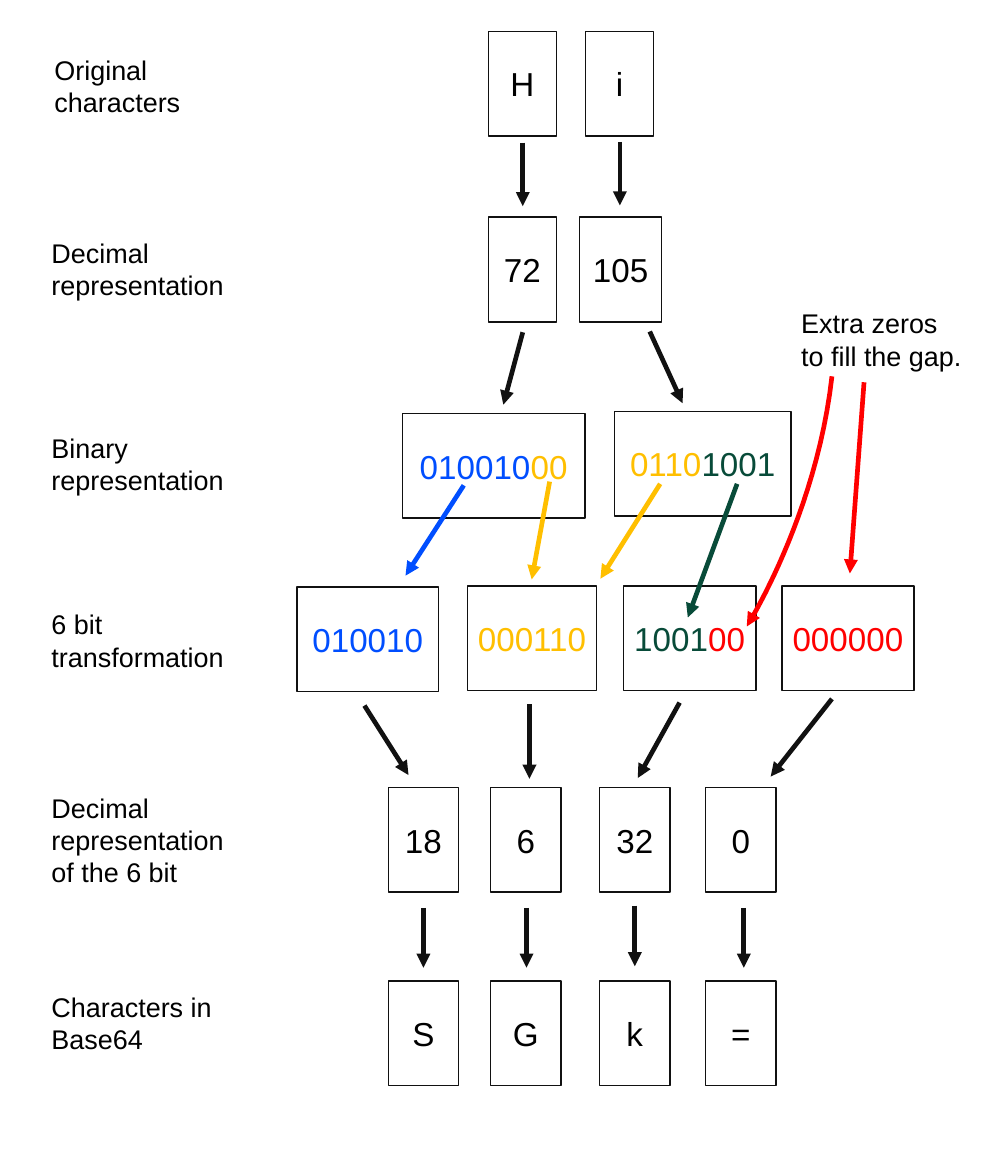
import pptx
import pptx.dml.color
import pptx.enum.shapes
import pptx.enum.text
import pptx.oxml
import pptx.oxml.ns
import pptx.util

SCALE = 9144  # EMU per px, 100 px to the inch
INK, BLACK, WHITE = "111111", "000000", "FFFFFF"
BLUE, YELLOW, GREEN, RED = "004EFF", "FFBF00", "084B39", "FF0000"
CELL_HEIGHT = 140
RESULT_COLUMNS = [520, 657, 803, 945]
RESULT_WIDTH = 94


def px(value):
    return pptx.util.Emu(round(value * SCALE))


def color(hex_text):
    return pptx.dml.color.RGBColor.from_string(hex_text)


def apply(target, values):
    for name, value in values.items():
        setattr(target, name, value)


def write(shape, spans, size, frame_format, align=None):
    """Fill a shape with one paragraph of (text, colour) spans."""
    apply(shape.text_frame, {"word_wrap": True, **frame_format})
    para = shape.text_frame.paragraphs[0]
    para.alignment = align
    for text, hex_text in spans:
        span = para.add_run()
        span.text = text
        apply(span.font, {"name": "Arial", "size": pptx.util.Pt(size)})
        span.font.color.rgb = color(hex_text)


def draw_label(page, box, text, anchor=pptx.enum.text.MSO_ANCHOR.MIDDLE):
    label = page.shapes.add_textbox(*map(px, box))
    write(label, [(text, BLACK)], 26, {
        "vertical_anchor": anchor,
        "auto_size": pptx.enum.text.MSO_AUTO_SIZE.SHAPE_TO_FIT_TEXT,
    })


def draw_cell(page, box, spans):
    cell = page.shapes.add_shape(pptx.enum.shapes.MSO_SHAPE.RECTANGLE, *map(px, box))
    cell.shadow.inherit = False
    cell.fill.solid()
    cell.fill.fore_color.rgb = color(WHITE)
    cell.line.color.rgb = color(INK)
    cell.line.width = pptx.util.Pt(1.5)
    write(cell, spans, 32, {
        "vertical_anchor": pptx.enum.text.MSO_ANCHOR.MIDDLE,
        "margin_left": px(11), "margin_right": px(11),
        "margin_top": px(6), "margin_bottom": px(6),
    }, pptx.enum.text.PP_ALIGN.CENTER)


def style_arrow(shape, hex_text):
    shape.line.color.rgb = color(hex_text)
    shape.line.width = pptx.util.Pt(4.5)
    outline = shape.line._get_or_add_ln()
    head = pptx.oxml.parse_xml(
        f'<a:tailEnd {pptx.oxml.ns.nsdecls("a")} type="triangle"/>')
    outline.append(head)


def draw_arrow(page, start, end, hex_text=INK):
    arrow = page.shapes.add_connector(
        pptx.enum.shapes.MSO_CONNECTOR.STRAIGHT, *map(px, start + end))
    style_arrow(arrow, hex_text)
    arrow._element.spPr.append(
        pptx.oxml.parse_xml(f'<a:effectLst {pptx.oxml.ns.nsdecls("a")}/>'))


def draw_curved_arrow(page, start, control, end, hex_text, steps=24):
    """Follow a cubic curve whose second control point is its end."""
    points = []
    for step in range(1, steps + 1):
        t = step / steps
        weights = ((1 - t) ** 3, 3 * t * (1 - t) ** 2, 3 * t * t * (1 - t) + t ** 3)
        points.append(tuple(
            sum(weight * value for weight, value in zip(weights, axis)) * SCALE
            for axis in zip(start, control, end)))
    builder = page.shapes.build_freeform(*map(px, start), scale=1.0)
    builder.add_line_segments(points, close=False)
    curve = builder.convert_to_shape()
    curve.shadow.inherit = False
    curve.fill.background()
    style_arrow(curve, hex_text)


def draw_row_boxes(page, top, row):
    text, left, offset, width, height = row["label"]
    draw_label(page, (left, top + offset, width, height), text)
    for left, offset, width, spans in row["cells"]:
        draw_cell(page, (left, top + offset, width, CELL_HEIGHT), spans)


def draw_row_arrows(page, top, row):
    for start_x, start_y, end_x, end_y, *hex_text in row["arrows"]:
        draw_arrow(page, (start_x, top + start_y), (end_x, top + end_y), *hex_text)


def draw_gap_note(page, left, top):
    draw_label(page, (left, top, 236, 91), "Extra zeros to fill the gap.",
               pptx.enum.text.MSO_ANCHOR.TOP)
    draw_curved_arrow(page, (left + 51, top + 98), (left + 30, top + 286),
                      (left - 63, top + 433), RED)
    draw_arrow(page, (left + 94, top + 106), (left + 75, top + 362), RED)


def result_cells(texts):
    return [(left, 0, RESULT_WIDTH, [(text, BLACK)])
            for left, text in zip(RESULT_COLUMNS, texts)]


# Labels: text, left, offset from the row top, width, height.
# Cells: left, offset, width, spans. Arrows: x, offset, x, offset, colour.
ROWS = {
    42: {
        "label": ("Original characters", 63, 27, 256, 91),
        "cells": [(654, 0, 91, [("H", BLACK)]), (784, 0, 91, [("i", BLACK)])],
        "arrows": [(700, 149, 700, 234), (830, 148, 830, 233)],
    },
    291: {
        "label": ("Decimal representation", 59, 10, 280, 117),
        "cells": [(654, 0, 91, [("72", BLACK)]), (776, 0, 110, [("105", BLACK)])],
        "arrows": [(700, 154, 674, 251), (870, 153, 914, 249)],
    },
    551: {
        "label": ("Binary representation", 59, 12, 280, 117),
        "cells": [(539, 3, 244, [("010010", BLUE), ("00", YELLOW)]),
                  (823, 0, 236, [("0110", YELLOW), ("1001", GREEN)])],
        "arrows": [(621, 99, 543, 220, BLUE), (736, 94, 712, 225, YELLOW),
                   (884, 97, 804, 224, YELLOW), (987, 97, 921, 276, GREEN)],
    },
    785: {
        "label": ("6 bit transformation", 59, 14, 280, 117),
        "cells": [(398, 1, 189, [("010010", BLUE)]),
                  (626, 0, 173, [("000110", YELLOW)]),
                  (835, 0, 177, [("1001", GREEN), ("00", RED)]),
                  (1047, 0, 177, [("000000", RED)])],
        "arrows": [(488, 160, 547, 253), (709, 158, 709, 258),
                   (910, 156, 854, 257), (1114, 151, 1032, 255)],
    },
    1055: {
        "label": ("Decimal representation of the 6 bit", 59, 4, 280, 131),
        "cells": result_cells(["18", "6", "32", "0"]),
        "arrows": [(567, 161, 567, 241), (705, 161, 705, 241),
                   (850, 158, 850, 239), (996, 161, 996, 241)],
    },
    1314: {
        "label": ("Characters in Base64", 59, -3, 280, 117),
        "cells": result_cells("SGk="),
        "arrows": [],
    },
}


def main():
    deck = pptx.Presentation()
    apply(deck, {"slide_width": px(1339), "slide_height": px(1575)})
    page = deck.slides.add_slide(deck.slide_layouts[6])
    for draw in (draw_row_boxes, draw_row_arrows):
        for top, row in ROWS.items():
            draw(page, top, row)
    draw_gap_note(page, 1063, 406)
    deck.save("out.pptx")


if __name__ == "__main__":
    main()
